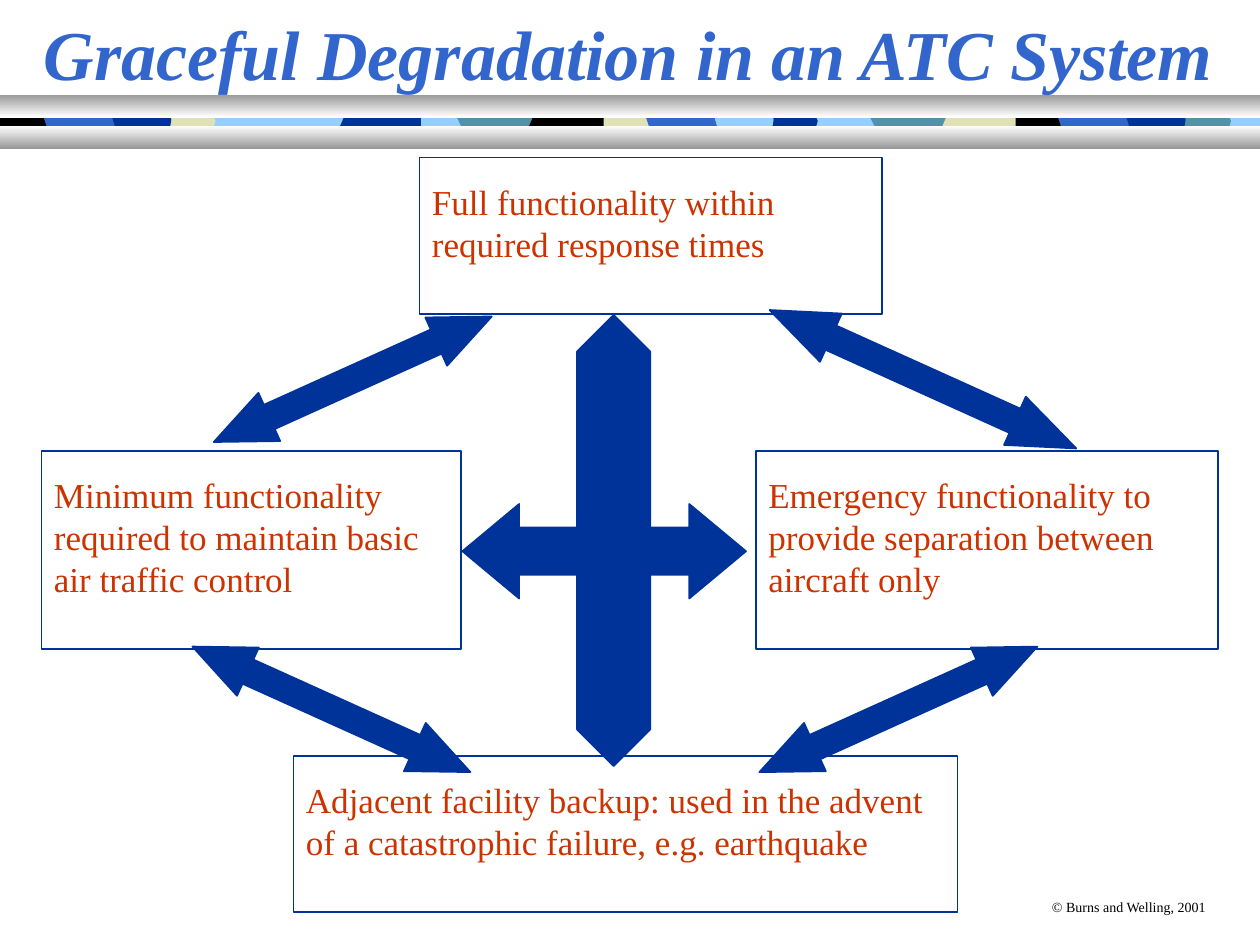
"""Build the slide on graceful degradation in an ATC system."""
from pptx import Presentation
from pptx.dml.color import RGBColor
from pptx.enum.shapes import MSO_SHAPE
from pptx.enum.text import MSO_ANCHOR, PP_ALIGN
from pptx.util import Inches, Pt

RECTANGLE = MSO_SHAPE.RECTANGLE
VERTICAL = MSO_SHAPE.UP_DOWN_ARROW
HORIZONTAL = MSO_SHAPE.LEFT_RIGHT_ARROW
LEFT, CENTER = PP_ALIGN.LEFT, PP_ALIGN.CENTER
TOP, MIDDLE = MSO_ANCHOR.TOP, MSO_ANCHOR.MIDDLE

NAVY, BLUE, SKY = "003399", "3366CC", "99CCFF"
TEAL, SAND, BLACK = "5490A8", "E1E1B7", "000000"
WHITE, GRAY, RUST = "FFFFFF", "989898", "CC3300"


def color(hex_string):
    return RGBColor.from_string(hex_string)


def write(box, text, size, ink, bold=False, italic=False, align=LEFT,
          anchor=TOP, wrap=True, top=0.05):
    frame = box.text_frame
    frame.word_wrap = wrap
    frame.vertical_anchor = anchor
    frame.margin_left = frame.margin_right = Inches(0.1)
    frame.margin_top, frame.margin_bottom = Inches(top), Inches(0.05)
    para = frame.paragraphs[0]
    para.alignment = align
    span = para.add_run()
    span.text = text
    span.font.name = "Times New Roman"
    span.font.size = Pt(size)
    span.font.bold, span.font.italic = bold, italic
    span.font.color.rgb = color(ink)


deck = Presentation()
deck.slide_width, deck.slide_height = Inches(10), Inches(7.5)
page = deck.slides.add_slide(deck.slide_layouts[6])
shapes = page.shapes

tiles = {
    "base": [(0, 0.85), (9.97, 0.85), (9.97, 1.14), (0, 1.14)],
    "start": [(0, 0.85), (0.5, 0.85), (0.47, 1), (0.5, 1.13), (0, 1.13)],
    "wave": [(0, 0.85), (0.63, 0.85), (0.63, 1.13), (0, 1.13), (0.04, 1),
             (0, 0.92)],
    "slope": [(0, 0.85), (0.63, 0.85), (0.63, 1.13), (0, 1.13), (-0.01, 1),
              (0.02, 0.93)],
    "barrel": [(0, 0.85), (0.33, 0.85), (0.38, 0.96), (0.33, 1.13), (0, 1.13),
               (-0.04, 1.06), (-0.04, 0.92)],
    "cup": [(0, 0.85), (0.43, 0.85), (0.4, 1), (0.43, 1.13), (0, 1.13),
            (-0.06, 1.06), (-0.06, 0.92)],
    "notch": [(0, 0.85), (0.63, 0.85), (0.63, 1.13), (0, 1.13), (0.06, 1.03)],
    "ripple": [(0, 0.85), (0.41, 0.85), (0.44, 0.95), (0.41, 1.13), (0, 1.13),
               (-0.03, 1.1), (0, 1.03), (-0.03, 0.93)],
}
mosaic = [
    ("base", 0.03, SKY),
    ("wave", 6.9, TEAL), ("slope", 7.49, SAND), ("barrel", 9.39, TEAL),
    ("cup", 8.12, BLACK), ("notch", 8.37, BLUE), ("ripple", 8.97, NAVY),
    ("wave", 3.62, TEAL), ("slope", 4.21, BLACK), ("barrel", 6.11, NAVY),
    ("cup", 4.85, SAND), ("notch", 5.1, BLUE), ("ripple", 5.7, SKY),
    ("wave", 2.12, SKY), ("slope", 2.71, NAVY), ("barrel", 1.33, SAND),
    ("start", 0, BLACK), ("notch", 0.32, BLUE), ("ripple", 0.92, NAVY),
]
for name, left, paint in mosaic:
    points = [(Inches(left + x), Inches(y)) for x, y in tiles[name]]
    builder = shapes.build_freeform(*points[0], scale=1.0)
    builder.add_line_segments(points[1:], close=True)
    tile = builder.convert_to_shape()
    tile.shadow.inherit = False
    tile.fill.solid()
    tile.fill.fore_color.rgb = color(paint)
    tile.line.fill.background()

for top, stops in [(0.75, (GRAY, WHITE)), (1, (WHITE, GRAY))]:
    band = shapes.add_shape(RECTANGLE, 0, Inches(top), Inches(10), Inches(0.18))
    band.shadow.inherit = False
    band.line.fill.background()
    band.fill.gradient()
    band.fill.gradient_angle = 270
    for stop, paint in zip(band.fill.gradient_stops, stops):
        stop.color.rgb = color(paint)

notice = shapes.add_textbox(Inches(8.25), Inches(7.08), Inches(1.43), Inches(0.24))
write(notice, "© Burns and Welling, 2001", 8, BLACK, wrap=False)
title = shapes.add_textbox(0, 0, Inches(9.97), Inches(0.83))
write(title, "Graceful Degradation in an ATC System", 40, BLUE, bold=True,
      italic=True, align=CENTER, anchor=MIDDLE)

levels = [
    (3.33, 1.25, 3.67, 1.24, "Full functionality within required response times"),
    (0.33, 3.58, 3.33, 1.57,
     "Minimum functionality required to maintain basic air traffic control"),
    (6, 3.58, 3.67, 1.57,
     "Emergency functionality to provide separation between aircraft only"),
    (2.33, 6, 5.27, 1.24,
     "Adjacent facility backup: used in the advent of a catastrophic failure, "
     "e.g. earthquake"),
]
for *place, text in levels:
    box = shapes.add_shape(RECTANGLE, *map(Inches, place))
    box.shadow.inherit = False
    box.fill.background()
    box.line.color.rgb = color(NAVY)
    box.line.width = Pt(1)
    write(box, text, 20, RUST, top=0.18)

arrows = [
    (VERTICAL, 4.58, 2.5, 0.58, 3.58, 0, 1.22),
    (HORIZONTAL, 3.67, 4, 2.25, 0.75, 0, 0.6),
    (HORIZONTAL, 1.59, 2.8, 2.42, 0.42, -24.3, 1.15),
    (HORIZONTAL, 1.42, 5.42, 2.42, 0.42, 24.3, 1.15),
    (HORIZONTAL, 5.92, 5.42, 2.42, 0.42, -24.3, 1.15),
    (HORIZONTAL, 5.99, 2.8, 2.67, 0.42, 24.3, 1.27),
]
for preset, *place, angle, head in arrows:
    arrow = shapes.add_shape(preset, *map(Inches, place))
    arrow.shadow.inherit = False
    arrow.rotation = angle
    arrow.adjustments[0], arrow.adjustments[1] = 0.5, head
    arrow.fill.solid()
    arrow.fill.fore_color.rgb = color(NAVY)
    arrow.line.color.rgb = color(NAVY)
    arrow.line.width = Pt(1)

deck.save("out.pptx")
